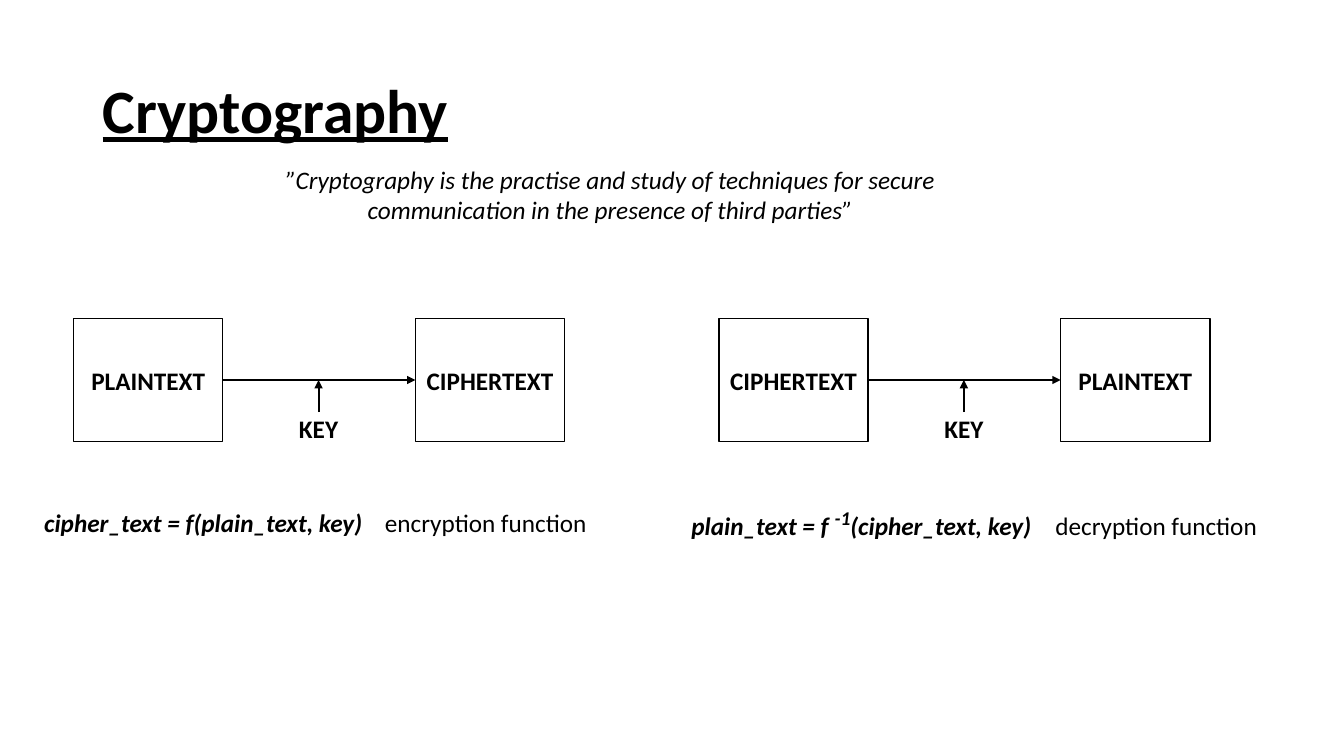
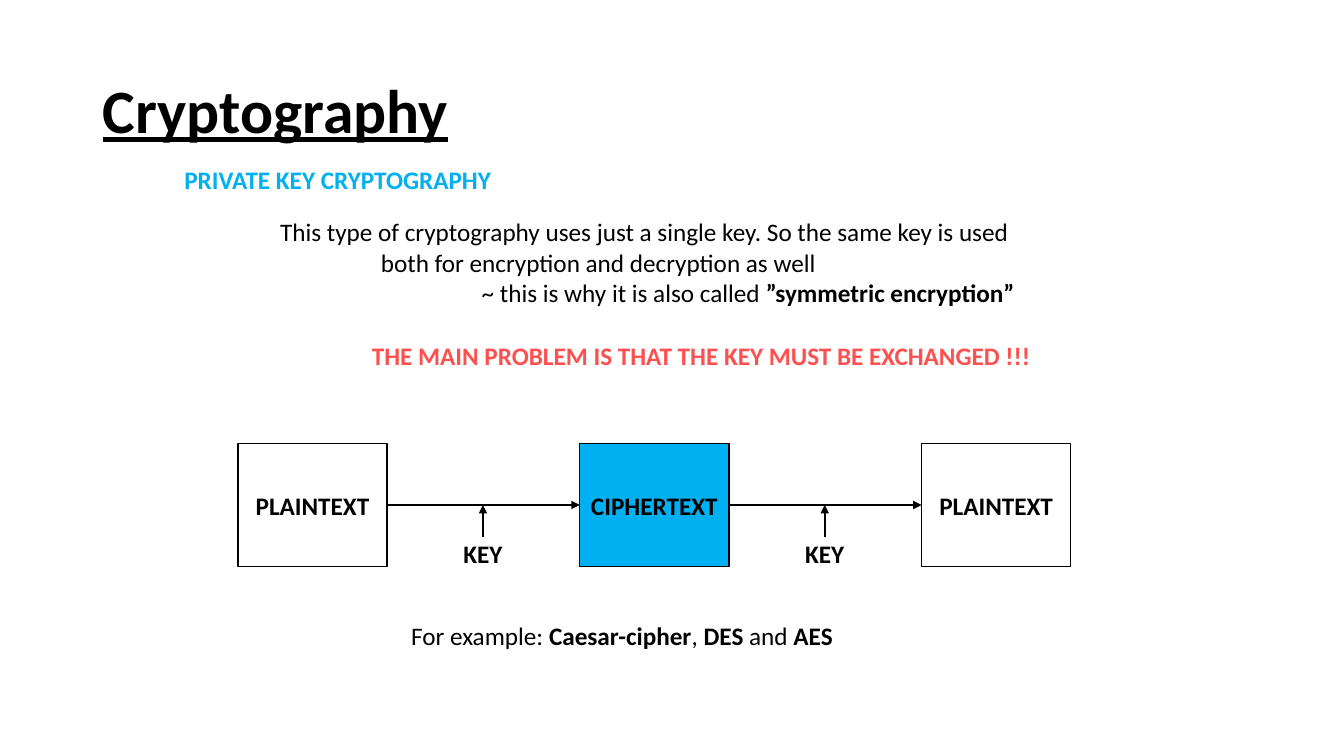
import pptx
import pptx.dml.color
import pptx.enum.shapes
import pptx.enum.text
import pptx.oxml.ns
import pptx.util
from lxml import etree

PX = 9144  # EMU per px, 100 px to the inch
FONT = "Calibri"
BLACK, WHITE, BLUE, RED = "000000", "FFFFFF", "00B0F0", "FF5050"
ALIGN = pptx.enum.text.PP_ALIGN
ANCHOR = pptx.enum.text.MSO_ANCHOR
BODY = {"name": FONT, "size": pptx.util.Pt(18)}
BOLD = {"bold": True}
FORMULA = {"bold": True, "italic": True}
TITLE = {"size": pptx.util.Pt(44), "bold": True, "underline": True}
BOX_W, BOX_H, PITCH = 148, 122, 339
KEY_W, KEY_H, KEY_DROP = 80, 40, 89


def px(*values):
    return [pptx.util.Emu(v * PX) for v in values]


def rgb(value):
    return pptx.dml.color.RGBColor.from_string(value)


def sub(parent, tag, **attrs):
    return etree.SubElement(parent, pptx.oxml.ns.qn(tag), attrs)


def add_run(p, text, color=BLACK, baseline=None, **fmt):
    r = p.add_run()
    r.text = text
    for name, value in {**BODY, **fmt}.items():
        setattr(r.font, name, value)
    r.font.color.rgb = rgb(color)
    if baseline:
        r._r.get_or_add_rPr().set("baseline", baseline)


def fill_text(sp, paragraphs, align=ALIGN.LEFT, anchor=ANCHOR.TOP):
    """Write paragraphs, each a list of (text, format) runs."""
    tf = sp.text_frame
    tf.word_wrap = True
    tf.vertical_anchor = anchor
    for i, runs in enumerate(paragraphs):
        p = tf.add_paragraph() if i else tf.paragraphs[0]
        p.alignment = align
        for text, fmt in runs:
            add_run(p, text, **fmt)
    return tf


def add_text(slide, box, *paragraphs, **layout):
    return fill_text(slide.shapes.add_textbox(*px(*box)), paragraphs, **layout)


def add_title(slide, text):
    tf = add_text(slide, (92, 40, 1150, 145), [(text, TITLE)], anchor=ANCHOR.MIDDLE)
    tf.paragraphs[0].line_spacing = 0.9


def add_formula(slide, box, tab, *runs):
    """Write a formula whose description starts at a tab stop."""
    tf = add_text(slide, box, runs)
    tabs = sub(tf.paragraphs[0]._p.get_or_add_pPr(), "a:tabLst")
    sub(tabs, "a:tab", pos=str(tab * PX), algn="l")


def add_box(slide, left, top, text, fill):
    sp = slide.shapes.add_shape(
        pptx.enum.shapes.MSO_SHAPE.RECTANGLE, *px(left, top, BOX_W, BOX_H))
    sp.shadow.inherit = False
    sp.fill.solid()
    sp.fill.fore_color.rgb = rgb(fill)
    sp.line.color.rgb = rgb(BLACK)
    sp.line.width = pptx.util.Pt(1)
    fill_text(sp, [[(text, BOLD)]], ALIGN.CENTER, ANCHOR.MIDDLE)
    for side in ("left", "right"):
        setattr(sp.text_frame, f"margin_{side}", 0)
    return sp


def add_arrow(slide, x1, y1, x2, y2):
    cxn = slide.shapes.add_connector(
        pptx.enum.shapes.MSO_CONNECTOR.STRAIGHT, *px(x1, y1, x2, y2))
    cxn.line.color.rgb = rgb(BLACK)
    cxn.line.width = pptx.util.Pt(1.5)
    sub(cxn.line._get_or_add_ln(), "a:tailEnd", type="triangle")
    sub(cxn._element.spPr, "a:effectLst")
    return cxn


def add_chain(slide, left, top, *steps):
    """Draw (text, fill) boxes in a row, joined by arrows that each take a key."""
    mid_y = top + BOX_H // 2
    previous = None
    for i, (text, fill) in enumerate(steps):
        x = left + i * PITCH
        sp = add_box(slide, x, top, text, fill)
        if previous is not None:
            start = x - PITCH + BOX_W
            cxn = add_arrow(slide, start, mid_y, x, mid_y)
            cxn.begin_connect(previous, 3)
            cxn.end_connect(sp, 1)
            key_x = (start + x) // 2
            add_arrow(slide, key_x, top + 93, key_x, mid_y)
            add_text(slide, (key_x - KEY_W // 2, top + KEY_DROP, KEY_W, KEY_H),
                     [("KEY", BOLD)], align=ALIGN.CENTER)
        previous = sp


def add_slide(prs):
    slide = prs.slides.add_slide(prs.slide_layouts[6])
    add_title(slide, "Cryptography")
    return slide


def build_definition(prs):
    slide = add_slide(prs)
    add_text(slide, (264, 158, 683, 71),
             [("”Cryptography is the practise and study of techniques for secure "
               "communication in the presence of third parties”", {"italic": True})],
             align=ALIGN.CENTER)
    plain, cipher = ("PLAINTEXT", WHITE), ("CIPHERTEXT", WHITE)
    add_chain(slide, 73, 316, plain, cipher)
    add_chain(slide, 713, 316, cipher, plain)
    add_formula(slide, (34, 498, 590, 40), 338,
                ("cipher_text = f(plain_text, key)", FORMULA),
                ("\tencryption function", {}))
    exponent = {**FORMULA, "size": pptx.util.Pt(24), "baseline": "30000"}
    add_formula(slide, (676, 493, 610, 40), 361,
                ("plain_text = f ", FORMULA),
                ("-1", exponent),
                ("(cipher_text, key)", FORMULA),
                ("\tdecryption function", {}))


def build_private_key(prs):
    slide = add_slide(prs)
    add_text(slide, (173, 158, 348, 40),
             [("PRIVATE KEY CRYPTOGRAPHY", {"color": BLUE, **BOLD})])
    tf = add_text(
        slide, (268, 210, 780, 101),
        [("This type of cryptography uses just a single key. "
          "So the same key is used", {})],
        [("both for encryption and decryption as well", {})],
        [("~ this is why it is also called ", {}), ("”symmetric encryption”", BOLD)])
    for step, p in enumerate(tf.paragraphs):
        p._p.get_or_add_pPr().set("marL", str(step * 100 * PX))
    add_text(slide, (359, 333, 700, 40),
             [("THE MAIN PROBLEM IS THAT THE KEY MUST BE EXCHANGED !!!",
               {"color": RED, **BOLD})])
    add_chain(slide, 236, 440, ("PLAINTEXT", WHITE), ("CIPHERTEXT", BLUE),
              ("PLAINTEXT", WHITE))
    add_text(slide, (398, 611, 463, 40),
             [("For example: ", {}), ("Caesar-cipher", BOLD), (", ", {}),
              ("DES", BOLD), (" and ", {}), ("AES", BOLD)])


def main():
    prs = pptx.Presentation()
    prs.slide_width, prs.slide_height = px(1333, 750)
    build_definition(prs)
    build_private_key(prs)
    prs.save("out.pptx")


if __name__ == "__main__":
    main()
